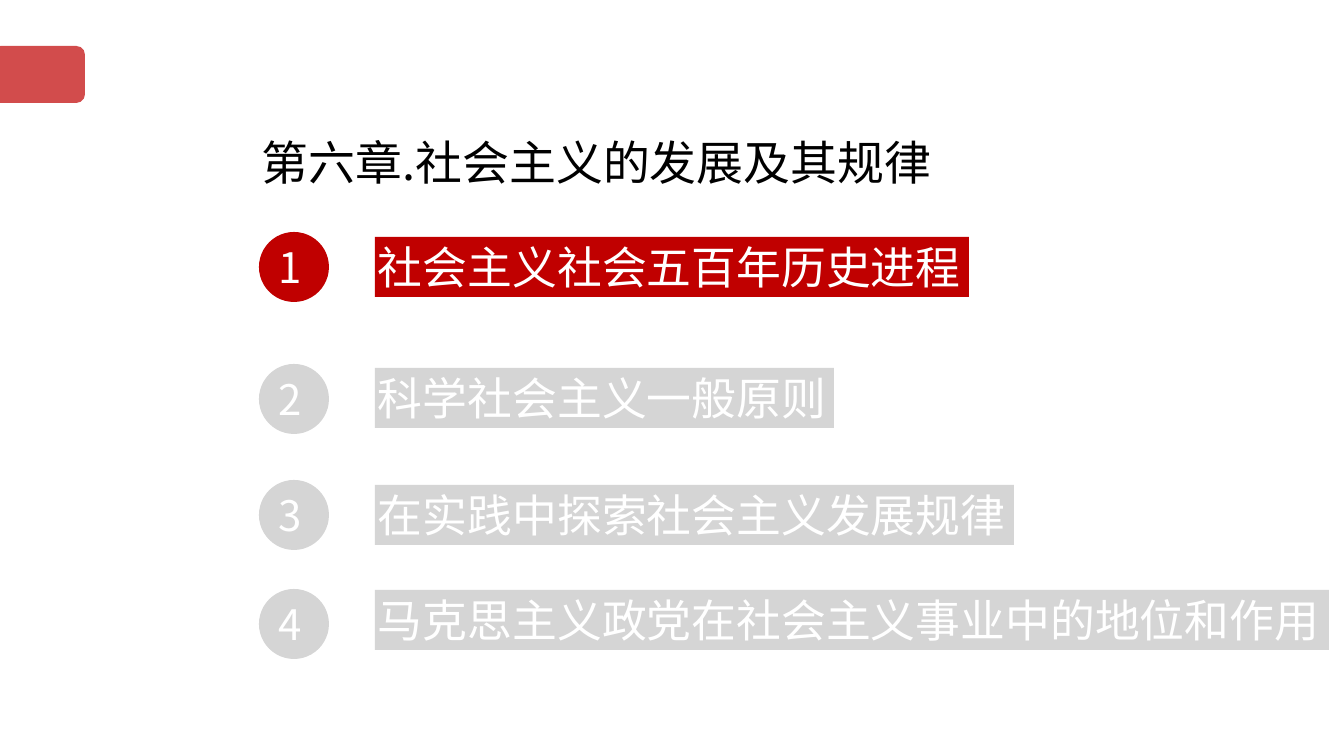
from dataclasses import dataclass

from lxml import etree
from pptx import Presentation
from pptx.dml.color import RGBColor
from pptx.enum.shapes import MSO_SHAPE
from pptx.enum.text import MSO_ANCHOR, PP_ALIGN
from pptx.oxml.ns import qn
from pptx.util import Pt

RECT, ROUND, OVAL = MSO_SHAPE.RECTANGLE, MSO_SHAPE.ROUNDED_RECTANGLE, MSO_SHAPE.OVAL
MIDDLE, LEFT = MSO_ANCHOR.MIDDLE, PP_ALIGN.LEFT
EMU_PER_PX = 914400 / 100.8


@dataclass(frozen=True)
class Theme:
    font: str = "Noto Sans CJK SC"
    red: str = "C00000"
    grey: str = "D5D5D5"
    white: str = "FFFFFF"
    black: str = "000000"
    title: float = 33.5
    item: float = 32
    number: float = 30


def px(n):
    return round(n * EMU_PER_PX)


class Deck:
    def __init__(self, prs, theme):
        self.theme = theme
        self.slide = prs.slides.add_slide(prs.slide_layouts[6])

    def shape(self, kind, box, color, alpha=None):
        sp = self.slide.shapes.add_shape(kind, *map(px, box))
        sp.shadow.inherit = False
        sp.fill.solid()
        sp.fill.fore_color.rgb = RGBColor.from_string(color)
        sp.line.fill.background()
        if alpha is not None:
            clr = sp.element.spPr.find(qn("a:solidFill"))[0]
            etree.SubElement(clr, qn("a:alpha"), val=str(alpha * 1000))
        return sp

    def label(self, sp, text, size, color, margins=(3, 3, 3, 3), spacing=None):
        tf = sp.text_frame
        left, top, right, bottom = map(px, margins)
        frame = {"word_wrap": True, "vertical_anchor": MIDDLE, "margin_left": left,
                 "margin_top": top, "margin_right": right, "margin_bottom": bottom}
        for name, value in frame.items():
            setattr(tf, name, value)
        p = tf.paragraphs[0]
        p.alignment = LEFT
        p.line_spacing = spacing
        r = p.add_run()
        r.text = text
        for name, value in {"size": Pt(size), "name": self.theme.font}.items():
            setattr(r.font, name, value)
        r.font.color.rgb = RGBColor.from_string(color)
        etree.SubElement(r._r.get_or_add_rPr(), qn("a:ea"), typeface=self.theme.font)

    def title(self, box, text):
        sp = self.slide.shapes.add_textbox(*map(px, box))
        self.label(sp, text, self.theme.title, self.theme.black, spacing=1.5)

    def badge(self, x, y, size, number, color):
        sp = self.shape(OVAL, (x, y, size, size), color)
        self.label(sp, str(number), self.theme.number, self.theme.white, (9, 0, 0, 0))

    def bar(self, x, y, text, color):
        width = 45 * len(text) + 9
        sp = self.shape(RECT, (x, y, width, 60), color)
        self.label(sp, text, self.theme.item, self.theme.white)


# Each section: badge top, bar top, heading
SECTIONS = [
    (232, 237, "社会主义社会五百年历史进程"),
    (364, 368, "科学社会主义一般原则"),
    (480, 485, "在实践中探索社会主义发展规律"),
    (589, 590, "马克思主义政党在社会主义事业中的地位和作用"),
]
CURRENT = 1


def main():
    prs = Presentation()
    prs.slide_width, prs.slide_height = px(1344), px(756)
    theme = Theme()
    deck = Deck(prs, theme)

    # Edge tab and chapter title
    tab = deck.shape(ROUND, (-8, 46, 93, 57), theme.red, alpha=70)
    tab.adjustments[0] = 0.15
    deck.title((259, 102, 680, 91), "第六章.社会主义的发展及其规律")

    # Numbered sections, the current one in red
    for number, (badge_y, bar_y, heading) in enumerate(SECTIONS, 1):
        color = theme.red if number == CURRENT else theme.grey
        deck.badge(259, badge_y, 70, number, color)
        deck.bar(375, bar_y, heading, color)

    prs.save("out.pptx")


if __name__ == "__main__":
    main()
